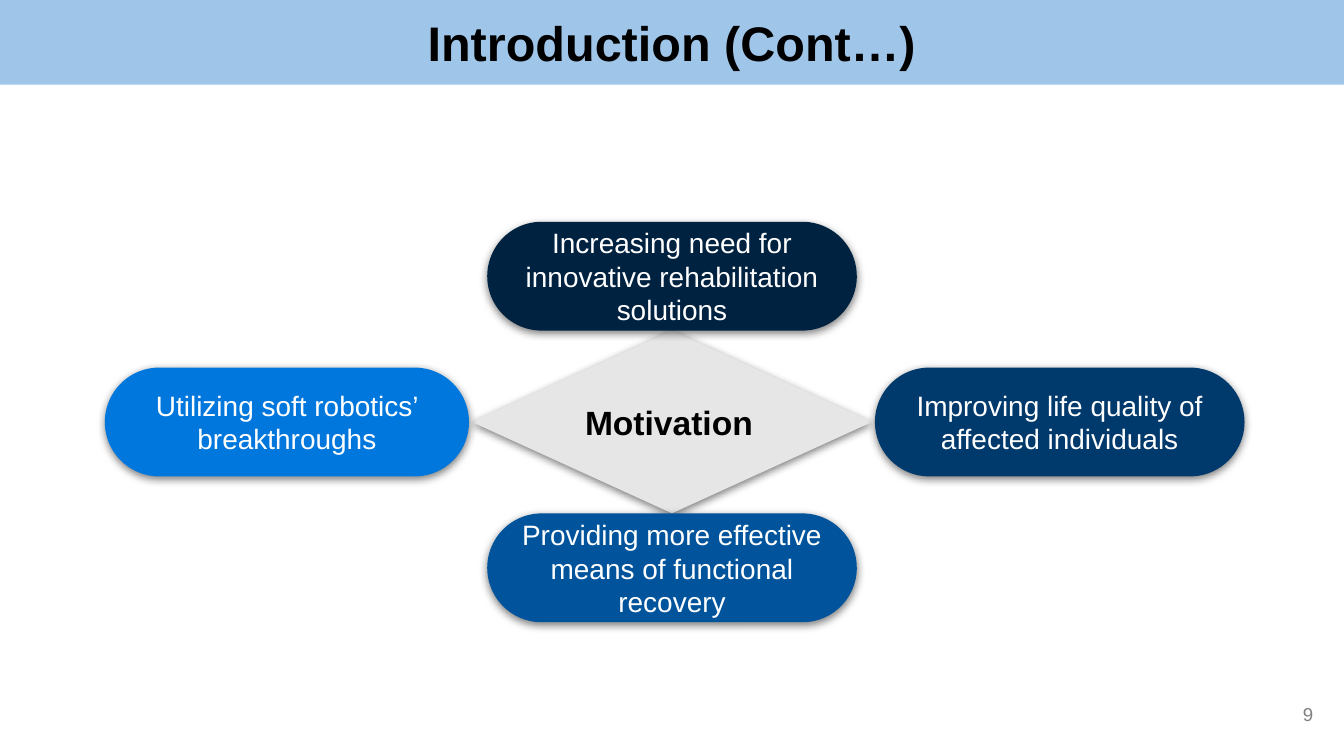
from dataclasses import dataclass

from pptx import Presentation
from pptx.dml.color import RGBColor
from pptx.enum.shapes import MSO_SHAPE as SHAPE
from pptx.enum.text import MSO_ANCHOR as ANCHOR, MSO_AUTO_SIZE as AUTO, PP_ALIGN as ALIGN
from pptx.oxml import parse_xml
from pptx.oxml.ns import nsdecls
from pptx.util import Inches, Pt


@dataclass(frozen=True)
class Theme:
    font: str = "Arial"
    banner: str = "9FC5E8"
    hub: str = "E6E6E6"
    top: str = "002241"
    right: str = "00396B"
    bottom: str = "01549C"
    left: str = "0077DD"
    dark: str = "000000"
    light: str = "FFFFFF"
    muted: str = "818181"
    title_size: int = 26
    hub_size: int = 18
    body_size: int = 15
    number_size: int = 10


theme = Theme()
SHADOW = (
    f'<a:outerShdw {nsdecls("a")} blurRad="{Pt(4.5)}" dist="{Pt(1.5)}" dir="5400000" '
    'algn="bl" rotWithShape="0"><a:srgbClr val="000000"><a:alpha val="50000"/>'
    '</a:srgbClr></a:outerShdw>'
)


def set_text(sp, text, size, color, align=ALIGN.CENTER, bold=False):
    tf = sp.text_frame
    tf.text = text
    tf.word_wrap = True
    tf.auto_size = AUTO.NONE
    tf.vertical_anchor = ANCHOR.MIDDLE
    tf.margin_left = tf.margin_right = tf.margin_top = tf.margin_bottom = Inches(0.1)
    p = tf.paragraphs[0]
    p.alignment = align
    p.font.name, p.font.size, p.font.bold = theme.font, Pt(size), bold
    p.font.color.rgb = RGBColor.from_string(color)


def add_node(kind, x, y, w, h, fill):
    sp = s.shapes.add_shape(kind, Inches(x), Inches(y), Inches(w), Inches(h))
    sp.fill.solid()
    sp.fill.fore_color.rgb = RGBColor.from_string(fill)
    sp.line.fill.background()
    sp.shadow.inherit = False
    sp._element.spPr.find("{*}effectLst").append(parse_xml(SHADOW))
    return sp


# Widescreen 16:9 slide
W = 10
H = W * 9 / 16
prs = Presentation()
prs.slide_width, prs.slide_height = Inches(W), Inches(H)
s = prs.slides.add_slide(prs.slide_layouts[5])

# Title banner across the full width
title = s.shapes.title
title.left, title.top, title.width, title.height = 0, 0, prs.slide_width, Inches(0.63)
title.fill.solid()
title.fill.fore_color.rgb = RGBColor.from_string(theme.banner)
set_text(title, "Introduction (Cont…)", theme.title_size, theme.dark, bold=True)

# Central hub, with the pills touching its corners
cx, cy = W / 2, 3.14
hub_w, hub_h = 2.98, 1.36
pill_w, pill_h, left_w = 2.75, 0.81, 2.71
gap = 0.02
mid_x, mid_y = cx - pill_w / 2, cy - pill_h / 2
hub_x, hub_y = cx - hub_w / 2, cy - hub_h / 2
hub = add_node(SHAPE.DIAMOND, hub_x, hub_y, hub_w, hub_h, theme.hub)
set_text(hub, "Motivation", theme.hub_size, theme.dark, ALIGN.LEFT, bold=True)

# Pills: left edge, top edge, width, fill, text
pills = [
    (mid_x, hub_y - pill_h, pill_w, theme.top,
     "Increasing need for innovative rehabilitation solutions"),
    (mid_x, hub_y + hub_h, pill_w, theme.bottom,
     "Providing more effective means of functional recovery"),
    (hub_x - gap - left_w, mid_y, left_w, theme.left,
     "Utilizing soft robotics’ breakthroughs"),
    (hub_x + hub_w + gap, mid_y, pill_w, theme.right,
     "Improving life quality of affected individuals"),
]
for x, y, w, fill, text in pills:
    sp = add_node(SHAPE.ROUNDED_RECTANGLE, x, y, w, pill_h, fill)
    sp.adjustments[0] = 0.5
    set_text(sp, text, theme.body_size, theme.light)

# Slide number
number = s.shapes.add_textbox(Inches(9.27), Inches(5.1), Inches(0.6), Inches(0.43))
set_text(number, "9", theme.number_size, theme.muted, ALIGN.RIGHT)

prs.save("out.pptx")
